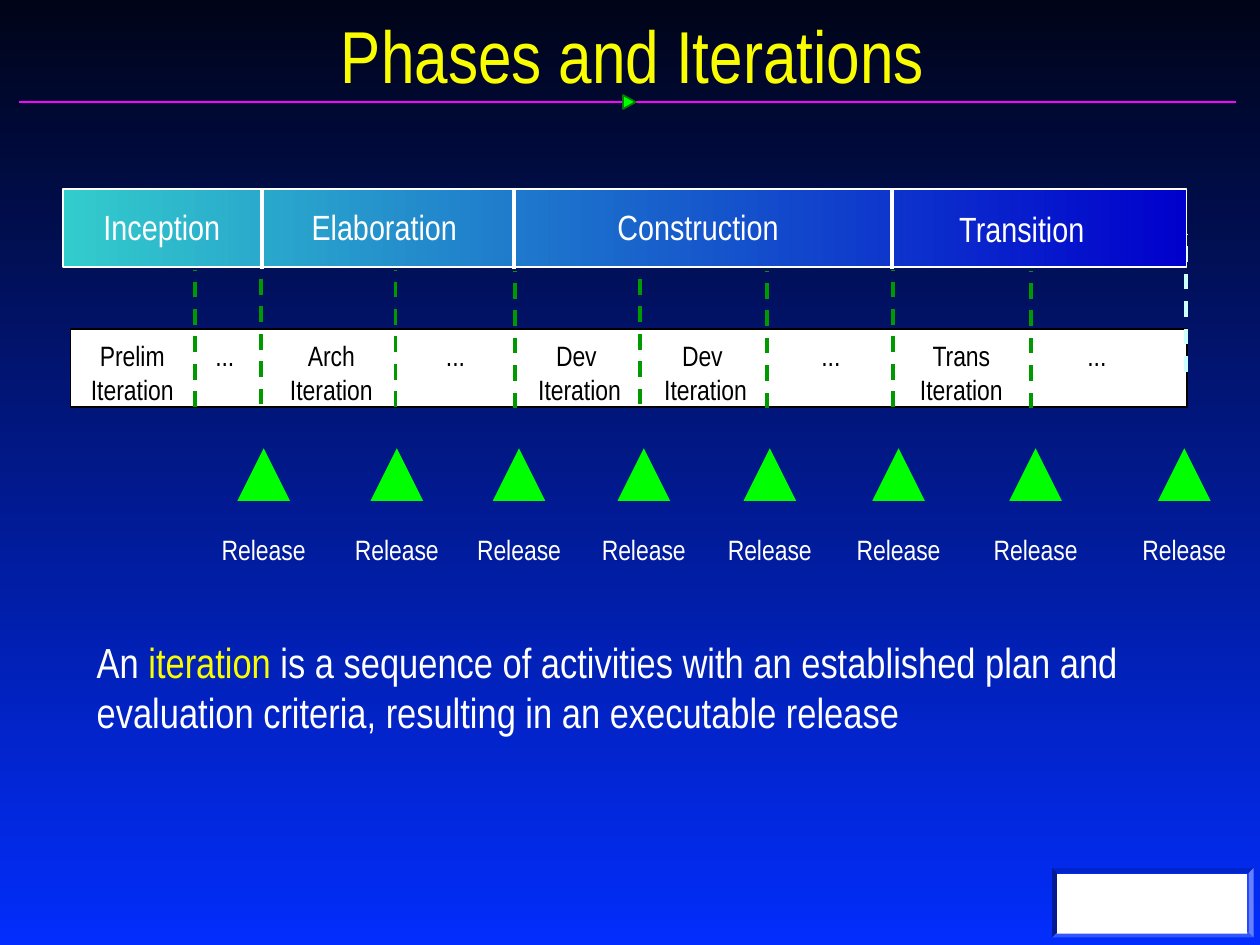
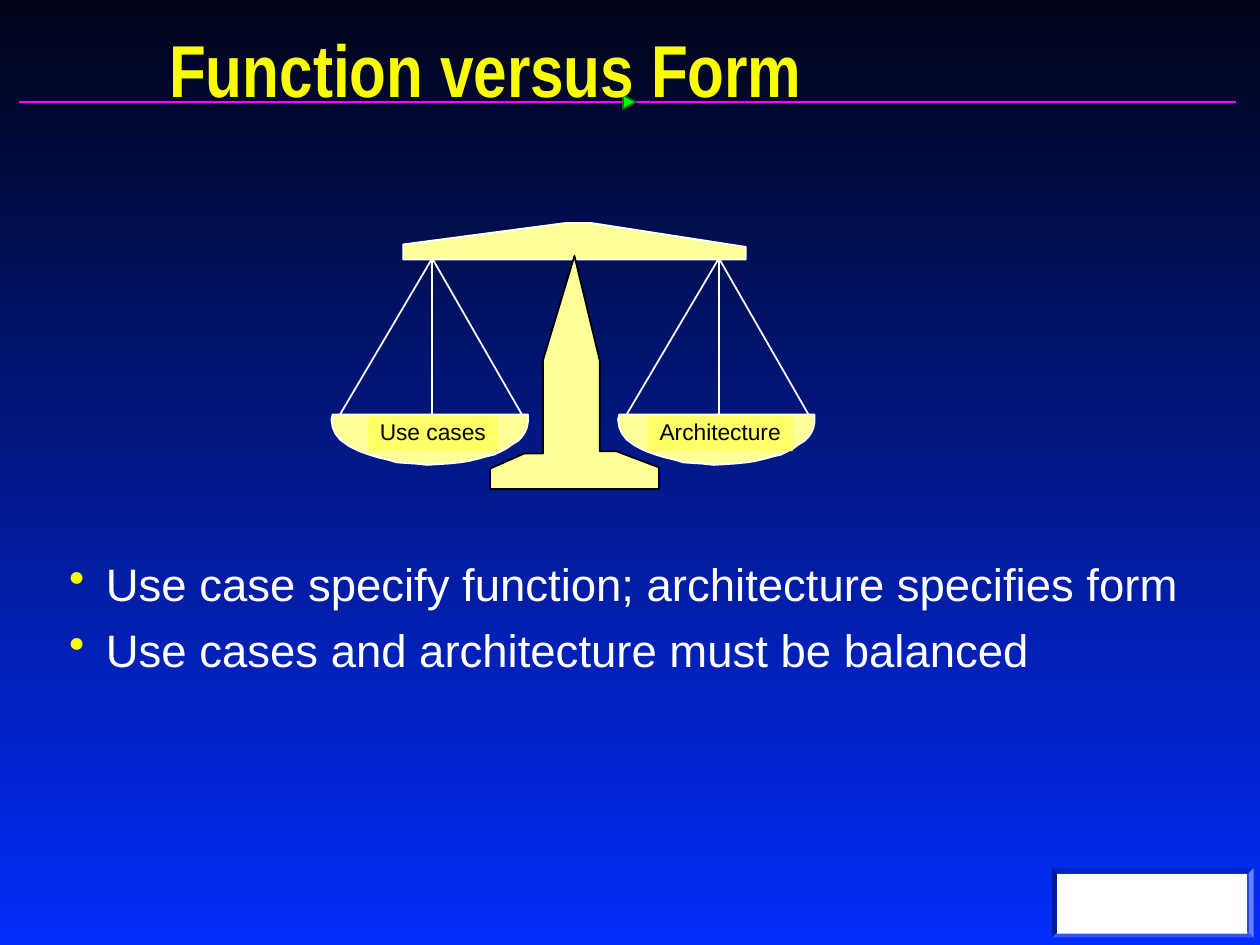
from lxml import etree
from pptx import Presentation
from pptx.dml.color import RGBColor
from pptx.enum import dml, shapes, text
from pptx.oxml import ns
from pptx.util import Pt

BLACK, WHITE, YELLOW = "000000", "FFFFFF", "FAFD00"
NIGHT, BLUE, NAVY, TEAL = "000418", "022DFC", "0000CC", "33CCCC"
MAGENTA, LIME, GREEN, DARK_GREEN = "FF01FF", "00FF00", "009900", "037C03"
ICE, CREAM, LEMON = "CCFFFF", "FFFF99", "FFFF66"
NARROW, ARIAL = "Arial Narrow", "Arial"
LEFT, CENTER = text.PP_ALIGN.LEFT, text.PP_ALIGN.CENTER
TOP, MIDDLE = text.MSO_ANCHOR.TOP, text.MSO_ANCHOR.MIDDLE
SHAPE = shapes.MSO_SHAPE


def color(value):
    return RGBColor.from_string(value)


def set_gradient(fill, first, last, angle):
    fill.gradient()
    fill.gradient_angle = angle
    for stop, value in zip(fill.gradient_stops, (first, last)):
        stop.color.rgb = color(value)


def set_bullet(paragraph, value):
    properties = paragraph._p.get_or_add_pPr()
    properties.set("marL", str(Pt(42.5)))
    properties.set("indent", str(Pt(-21)))
    bullet_color = etree.SubElement(properties, ns.qn("a:buClr"))
    etree.SubElement(bullet_color, ns.qn("a:srgbClr"), val=value)
    etree.SubElement(properties, ns.qn("a:buChar"), char="•")


def write(frame, content, size=16, font=NARROW, fill=WHITE, bold=False, align=CENTER,
          anchor=TOP, wrap=False, inset=7.2, spacing=None, gap=0, bullet=None,
          highlight=None):
    """Fill a text frame, one paragraph for each line of content."""
    frame.word_wrap = wrap
    frame.auto_size = text.MSO_AUTO_SIZE.NONE
    frame.vertical_anchor = anchor
    frame.margin_left = frame.margin_right = Pt(inset)
    frame.margin_top = frame.margin_bottom = Pt(min(inset, 3.6))
    for index, line in enumerate(content.split("\n")):
        paragraph = frame.add_paragraph() if index else frame.paragraphs[0]
        if bullet:
            set_bullet(paragraph, bullet)
        paragraph.alignment = align
        paragraph.line_spacing = spacing
        paragraph.space_before = Pt(gap if index else 0)
        for piece in line.partition(highlight) if highlight else [line]:
            run = paragraph.add_run()
            run.text = piece
            run.font.name, run.font.size, run.font.bold = font, Pt(size), bold
            run.font.color.rgb = color(YELLOW if piece == highlight else fill)


class Deck:
    """Holds the presentation style and the slide being drawn."""

    def __init__(self):
        self.presentation = Presentation()
        self.presentation.slide_width = Pt(720)
        self.presentation.slide_height = Pt(540)
        set_gradient(self.presentation.slide_master.background.fill, NIGHT, BLUE, 270)

    def new_slide(self, title, width, **style):
        self.slide = self.presentation.slides.add_slide(self.presentation.slide_layouts[5])
        # Title rule with its arrow, and the framed plate in the corner
        self.line(10.8, 58.3, 706.3, 58.3, MAGENTA)
        arrow = self.shape(SHAPE.ISOSCELES_TRIANGLE, 355.7, 54.7, 7.9, 7.2, LIME, DARK_GREEN)
        arrow.rotation = 90
        bevel = self.shape(SHAPE.BEVEL, 601.2, 496, 115.2, 39.6, BLUE)
        bevel.adjustments[0] = 0.075
        bevel.rotation = 180
        self.shape(SHAPE.RECTANGLE, 604, 499.5, 108.7, 34, WHITE)
        # Title in front of the rule
        heading = self.slide.shapes.title
        heading.left, heading.top, heading.width, heading.height = map(Pt, (7.2, 10, width, 41.8))
        write(heading.text_frame, title, size=42, fill=YELLOW, wrap=True, **style)
        heading.element.getparent().append(heading.element)

    def finish(self, shape, fill, outline, weight):
        shape.shadow.inherit = False
        if fill:
            shape.fill.solid()
            shape.fill.fore_color.rgb = color(fill)
        if outline:
            shape.line.color.rgb = color(outline)
            shape.line.width = Pt(weight)
        else:
            shape.line.fill.background()
        return shape

    def shape(self, kind, left, top, width, height, fill=None, outline=None, weight=1):
        shape = self.slide.shapes.add_shape(kind, *map(Pt, (left, top, width, height)))
        return self.finish(shape, fill, outline, weight)

    def outline(self, points, fill, outline):
        points = [(Pt(x), Pt(y)) for x, y in points]
        builder = self.slide.shapes.build_freeform(*points[0])
        builder.add_line_segments(points[1:], close=True)
        return self.finish(builder.convert_to_shape(), fill, outline, 1)

    def line(self, x1, y1, x2, y2, stroke, weight=1, dashed=False):
        line = self.slide.shapes.add_connector(
            shapes.MSO_CONNECTOR.STRAIGHT, *map(Pt, (x1, y1, x2, y2)))
        line.line.color.rgb = color(stroke)
        line.line.width = Pt(weight)
        if dashed:
            line.line.dash_style = dml.MSO_LINE.DASH
        etree.SubElement(line._element.spPr, ns.qn("a:effectLst"))

    def text(self, content, left, top, width, height, **style):
        box = self.slide.shapes.add_textbox(*map(Pt, (left, top, width, height)))
        write(box.text_frame, content, **style)

    def label(self, content, center, top, width, height, **style):
        self.text(content, center - width / 2, top, width, height, **style)


def phases_slide(deck):
    deck.new_slide("Phases and Iterations", 708.5, anchor=MIDDLE)

    # Iteration strip
    deck.shape(SHAPE.RECTANGLE, 40.3, 188, 638, 44.6, WHITE, BLACK, 0.75)
    iterations = [("Prelim\nIteration", 75.6), ("...", 128.5), ("Arch\nIteration", 189.4),
                  ("...", 260.3), ("Dev \nIteration", 331.2), ("Dev \nIteration", 403.2),
                  ("...", 474.8), ("Trans\nIteration", 549.4), ("...", 626.8)]
    for name, center in iterations:
        deck.label(name, center, 190, 60.5, 44.6, fill=BLACK, inset=6.5)

    # Iteration boundaries
    boundaries = [(111.6, 232.6), (149, 231.1), (226, 232.6), (294.5, 233.3), (365.8, 231.1),
                  (438.5, 233.3), (510.5, 232.6), (589, 233.3)]
    for x, bottom in boundaries:
        deck.line(x, bottom, x, bottom - 78.5, GREEN, 2.25, dashed=True)
    deck.line(677.5, 212.4, 677.5, 133.9, ICE, 2.25, dashed=True)

    # Releases
    for center in (150.7, 226.8, 296.6, 367.9, 439.9, 513.5, 591.8, 676.8):
        deck.shape(SHAPE.ISOSCELES_TRIANGLE, center - 15, 256.2, 30, 30, LIME)
        deck.label("Release", center, 301, 62, 46)

    # Phase bar
    bar = deck.shape(SHAPE.RECTANGLE, 36, 108, 642.2, 44.6, outline=WHITE, weight=0.75)
    set_gradient(bar.fill, TEAL, NAVY, 0)
    for x in (149.8, 293.8, 509.8):
        deck.line(x, 153.8, x, 108, WHITE, 2)
    phases = [("Inception", 92.5, 113.8), ("Elaboration", 219.6, 113.8),
              ("Construction", 398.9, 113.8), ("Transition", 583.9, 115.2)]
    for name, center, top in phases:
        deck.label(name, center, top, 106, 31, size=20)

    # Definition
    deck.text("An iteration is a sequence of activities with an established plan and "
              "evaluation criteria, resulting in an executable release",
              48.2, 360, 635.8, 64.8, size=24, align=LEFT, wrap=True, highlight="iteration")


def balance_slide(deck):
    deck.new_slide("Function versus Form", 540.7, bold=True, inset=6.5)

    # Beam and post
    beam = [(230.4, 148.3), (426.2, 148.3), (426.2, 141.1), (337.7, 127.4), (323.3, 127.4),
            (230.4, 139.7)]
    post = [(328.3, 146.2), (342.7, 205.9), (342.7, 257.8), (352.1, 257.8), (376.6, 267.1),
            (376.6, 279.4), (280.1, 279.4), (280.1, 267.8), (299.5, 259.2), (310.3, 259.2),
            (310.3, 205.9)]
    deck.outline(beam, CREAM, WHITE)
    deck.outline(post, CREAM, BLACK)

    # Pans hung on three strings
    bowl = [(0.7, 0), (0, 2.9), (0.7, 7.2), (2.2, 10.8), (5, 14.4), (10, 18), (15.8, 20.9),
            (21.6, 23), (26.6, 24.5), (32.4, 25.9), (37.4, 27.4), (48.2, 28.1), (54.7, 28.8),
            (66.2, 28.1), (73.4, 27.4), (78.5, 26.6), (84.2, 25.2), (89.3, 23.8), (92.9, 23),
            (97.2, 20.9), (100.1, 19.4), (103, 17.3), (106.6, 15.1), (108.7, 13),
            (110.2, 10.8), (111.6, 7.9), (112.3, 4.3), (112.3, 0)]
    pan_top = 236.9
    pans = [("Use cases", 189.4, 210.2, 74.2), ("Architecture", 353.2, 370.1, 82.8)]
    for name, pan_left, label_left, label_width in pans:
        hook = pan_left + 57.6
        for spread in (51.8, 0, -53.3):
            deck.line(hook, 147.6, hook + spread, pan_top + 1, WHITE)
        deck.outline([(pan_left + x, pan_top + y) for x, y in bowl], CREAM, WHITE)
        plate = deck.shape(SHAPE.RECTANGLE, label_left, 237.6, label_width, 20.2, LEMON)
        write(plate.text_frame, name, size=13, font=ARIAL, fill=BLACK, inset=6.5, spacing=0.85)

    # Conclusions
    deck.text("Use case specify function; architecture specifies form\n"
              "Use cases and architecture must be balanced",
              18, 318, 676.8, 69, size=26, font=ARIAL, align=LEFT, wrap=True, inset=0,
              gap=6.5, bullet=YELLOW)


def main():
    deck = Deck()
    phases_slide(deck)
    balance_slide(deck)
    deck.presentation.save("out.pptx")


if __name__ == "__main__":
    main()
